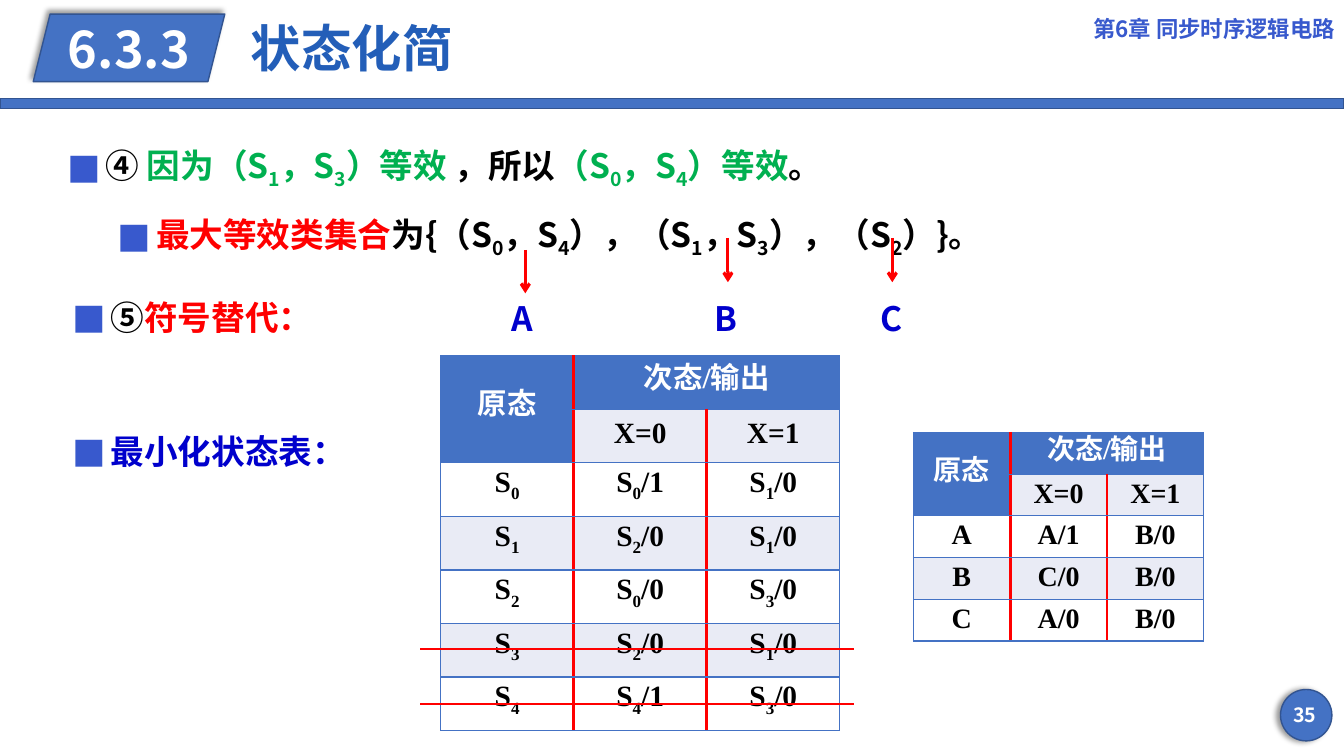
from lxml import etree
from pptx import Presentation
from pptx import util as u
from pptx.dml.color import RGBColor
from pptx.enum import shapes, text
from pptx.oxml.ns import qn

PX = 9144
SANS = "Noto Sans CJK SC"
SERIF = "Times New Roman"
HUE = {
    "fill": "4472C4", "edge": "325491", "mark": "3859CD", "title": "235EB8",
    "white": "FFFFFF", "black": "000000", "red": "FF0000", "green": "00B050",
    "navy": "0000CC", "band": "E9EBF5",
}
MID = text.MSO_ANCHOR.MIDDLE
MAIN = [
    (0, [("④", "black"), (" 因为（S_1，S_3）等效 ", "green"), ("，所以", "black"),
         ("（S_0，S_4）等效", "green"), ("。", "black")]),
    (1, [("最大等效类集合", "red"),
         ("为{（S_0，S_4），（S_1，S_3），（S_2）}。", "black")]),
]
HEAD = [["原态", "次态/输出", ""], ["", "X=0", "X=1"]]
FULL = [
    ["S_0", "S_0/1", "S_1/0"],
    ["S_1", "S_2/0", "S_1/0"],
    ["S_2", "S_0/0", "S_3/0"],
    ["S_3", "S_2/0", "S_1/0"],
    ["S_4", "S_4/1", "S_3/0"],
]
LEAST = [["A", "A/1", "B/0"], ["B", "C/0", "B/0"], ["C", "A/0", "B/0"]]


def rgb(hue):
    """Give the colour of a named hue."""
    return RGBColor.from_string(HUE[hue])


def sub(root, tag, **attrs):
    """Append a drawing element and return it."""
    return etree.SubElement(root, qn("a:" + tag), attrs)


def tint(root, tag, hue):
    """Append a colour holder and return its colour element."""
    return sub(sub(root, tag), "srgbClr", val=HUE[hue])


def write(para, parts, size, face=SANS):
    """Fill a paragraph with coloured parts; an underscore lowers one character."""
    for words, hue in parts:
        first, *rest = words.split("_")
        bits = [(first, False)]
        for bit in rest:
            bits += [(bit[0], True), (bit[1:], False)]
        for bit, low in bits:
            if not bit:
                continue
            run = para.add_run()
            run.text = bit
            font = run.font
            font.size, font.bold, font.name = u.Pt(size), True, face
            font.color.rgb = rgb(hue)
            props = run._r.get_or_add_rPr()
            sub(props, "ea", typeface=SANS)
            if low:
                props.set("baseline", "-25000")


def label(slide, box, words, hue, size, align=None, anchor=None, wrap=True):
    """Add one line of text."""
    shape = slide.shapes.add_textbox(*[n * PX for n in box])
    frame = shape.text_frame
    frame.word_wrap, frame.vertical_anchor = wrap, anchor
    para = frame.paragraphs[0]
    para.alignment = align
    write(para, [(words, hue)], size)
    return shape


def bullets(slide, box, items, wrap=True):
    """Add a list with square bullets."""
    frame = slide.shapes.add_textbox(*[n * PX for n in box]).text_frame
    frame.word_wrap = wrap
    for i, (level, parts) in enumerate(items):
        para = frame.add_paragraph() if i else frame.paragraphs[0]
        para.level, para.line_spacing = level, 1.5
        props = para._p.get_or_add_pPr()
        props.set("marL", str((38 + 50 * level) * PX))
        props.set("indent", str(-38 * PX))
        tint(props, "buClr", "mark")
        sub(props, "buFont", typeface=SANS)
        sub(props, "buChar", char="■")
        write(para, parts, 24)


def block(slide, kind, box, angle=None):
    """Add a blue shape, with a shadow cast at the given angle."""
    shape = slide.shapes.add_shape(kind, *[n * PX for n in box])
    shape.shadow.inherit = False
    shape.fill.solid()
    shape.fill.fore_color.rgb = rgb("fill")
    shape.line.color.rgb = rgb("edge")
    shape.line.width = u.Pt(1)
    if angle is not None:
        glow = sub(shape._element.spPr.find(qn("a:effectLst")), "outerShdw",
                   blurRad=str(u.Pt(4)), dist=str(u.Pt(3)),
                   dir=str(angle * 60000), algn="ctr", rotWithShape="0")
        sub(sub(glow, "srgbClr", val=HUE["black"]), "alpha", val="40000")
    return shape


def stroke(slide, ends, width, tip=False):
    """Add a red line, with an arrowhead if wanted."""
    line = slide.shapes.add_connector(
        shapes.MSO_CONNECTOR.STRAIGHT, *[n * PX for n in ends])
    line.line.color.rgb = rgb("red")
    line.line.width = u.Pt(width)
    if tip:
        sub(line.line._get_or_add_ln(), "tailEnd", type="arrow")
    sub(line._element.spPr, "effectLst")
    return line


def border(cell, row, col):
    """Rule a cell in blue, with red between the columns."""
    props = cell._tc.get_or_add_tcPr()
    for side, edge in (("L", col), ("R", col + 1), ("T", 0), ("B", 0)):
        red = edge == 1 or (edge == 2 and row > 0)
        line = sub(props, "ln" + side, w=str(u.Pt(2.25 if red else 1)))
        tint(line, "solidFill", "red" if red else "fill")


def table(slide, box, body, size, inset):
    """Add a state table below the shared heading."""
    rows = HEAD + body
    grid = slide.shapes.add_table(len(rows), 3, *[n * PX for n in box]).table
    for line in grid.rows:
        line.height = box[3] * PX // len(rows)
    for r, row in enumerate(rows):
        for c, words in enumerate(row):
            cell = grid.cell(r, c)
            border(cell, r, c)
            top = r == 0 or (r == 1 and c == 0)
            cell.fill.solid()
            cell.fill.fore_color.rgb = rgb(
                "fill" if top else "band" if r % 2 else "white")
            cell.vertical_anchor = MID
            cell.margin_left = cell.margin_right = inset * PX
            cell.margin_top = cell.margin_bottom = 0
            para = cell.text_frame.paragraphs[0]
            para.alignment = text.PP_ALIGN.CENTER
            para.line_spacing = u.Pt(20)
            write(para, [(words, "white" if top else "black")], size, SERIF)
    grid.cell(0, 0).merge(grid.cell(1, 0))
    grid.cell(0, 1).merge(grid.cell(0, 2))


def main():
    """Build the slide and save it."""
    deck = Presentation()
    deck.slide_width, deck.slide_height = 1333 * PX, 750 * PX
    slide = deck.slides.add_slide(deck.slide_layouts[6])
    kind, side = shapes.MSO_SHAPE, text.PP_ALIGN

    block(slide, kind.RECTANGLE, (0, 98, 1333, 10))
    block(slide, kind.OVAL, (1270, 684, 51, 51), 180)
    label(slide, (1263, 689, 62, 40), "35", "white", 14, side.CENTER, MID)
    bullets(slide, (57, 116, 1222, 131), MAIN)

    badge = block(slide, kind.PARALLELOGRAM, (33, 14, 190, 67), 225)
    frame = badge.text_frame
    frame.word_wrap, frame.vertical_anchor = False, MID
    frame.paragraphs[0].alignment = side.CENTER
    write(frame.paragraphs[0], [("6.3.3", "white")], 36)
    title = label(slide, (239, 11, 688, 80), "状态化简", "title", 36, anchor=MID)
    title.text_frame.paragraphs[0].line_spacing = 0.9
    label(slide, (1055, 0, 279, 56), "第6章 同步时序逻辑电路", "mark", 16,
          side.RIGHT, MID)

    table(slide, (906, 429, 288, 207), LEAST, 20, 11)
    bullets(slide, (62, 270, 299, 71),
            [(0, [("⑤", "black"), ("符号替代：", "red")])])
    bullets(slide, (62, 403, 294, 64), [(0, [("最小化状态表：", "navy")])], False)

    for name, left, x, top, end in (("A", 498, 521, 248, 291),
                                    ("B", 699, 722, 236, 280),
                                    ("C", 863, 885, 236, 280)):
        mark = label(slide, (left, 291, 46, 50), name, "navy", 24, wrap=False)
        arrow = stroke(slide, (x, top, x, end), 2.25, True)
        if name == "A":
            arrow.end_connect(mark, 0)

    table(slide, (437, 353, 396, 372), FULL, 21, 15)
    for y in (644, 698):
        stroke(slide, (417, y, 847, y), 1.5)
    deck.save("out.pptx")


if __name__ == "__main__":
    main()
